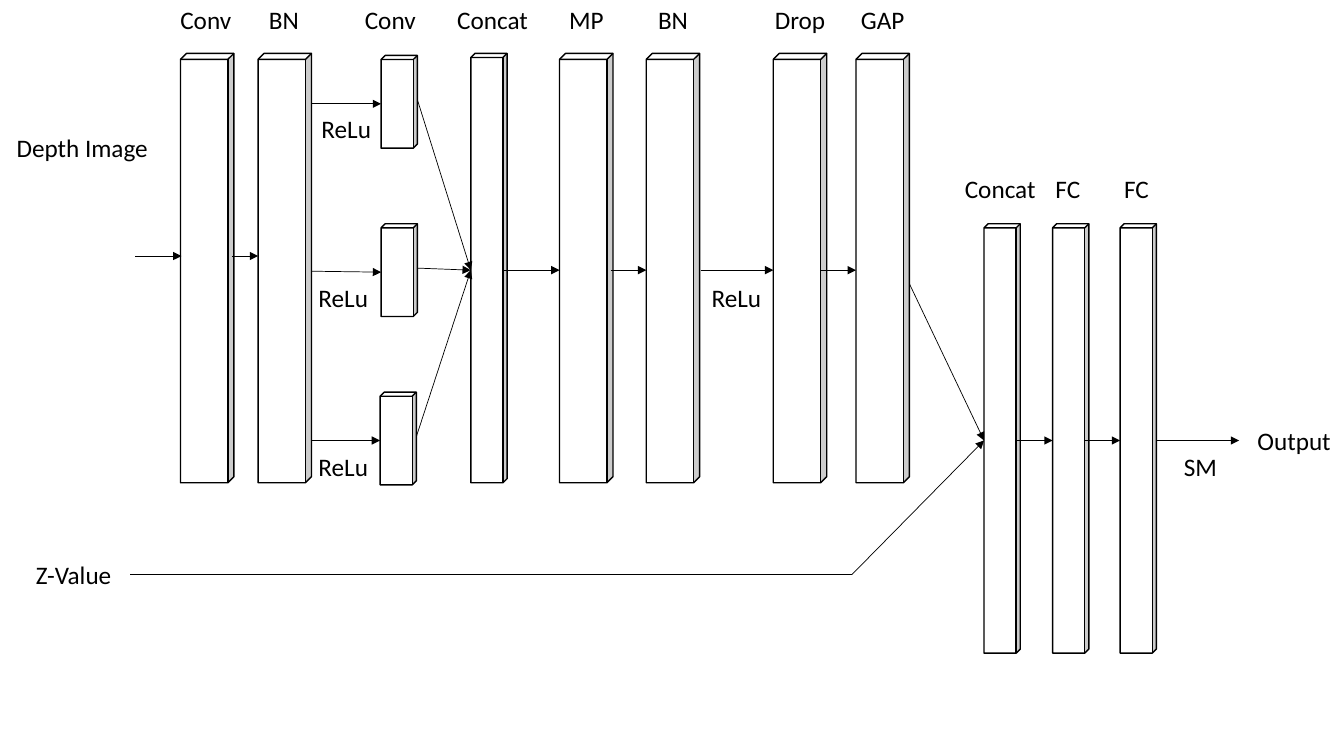
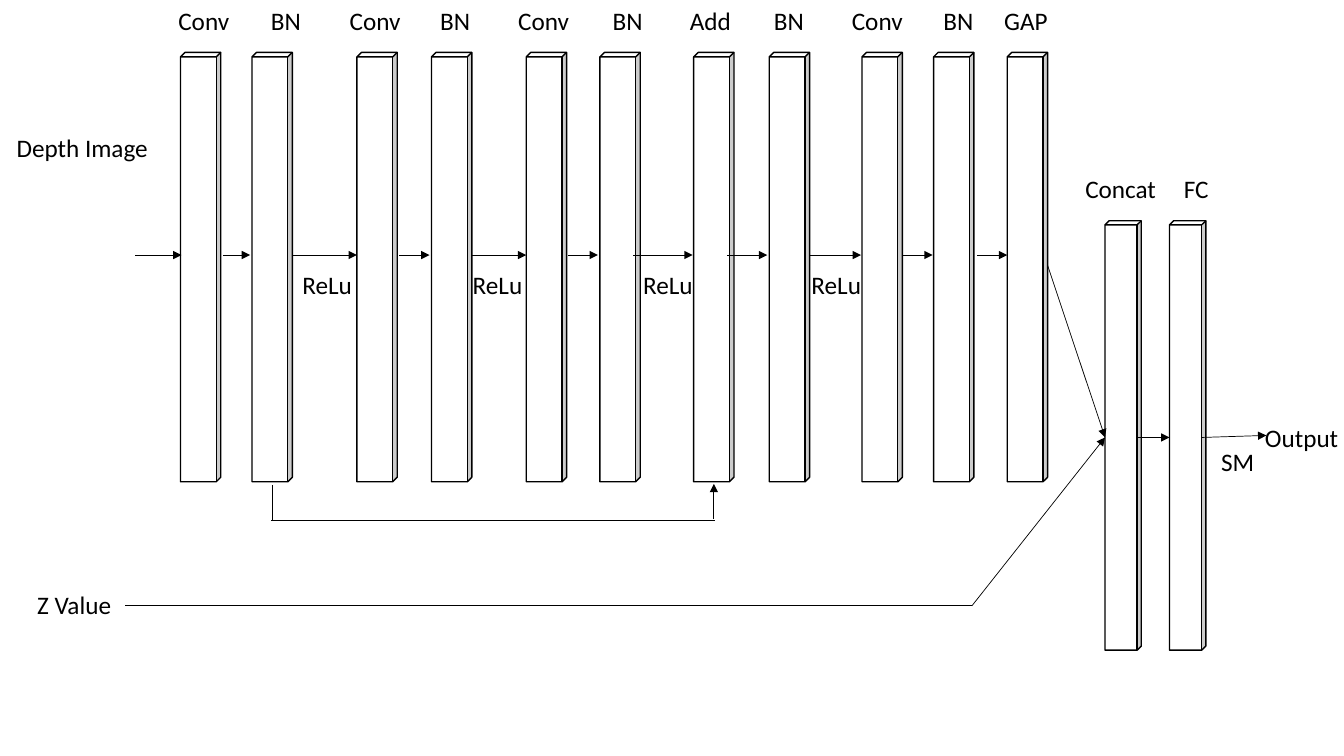
from pptx import Presentation
from pptx.dml.color import RGBColor as RGB
from pptx.enum.shapes import MSO_CONNECTOR as LINK, MSO_SHAPE as SHAPE
from pptx.enum.text import PP_ALIGN as ALIGN
from pptx.oxml.ns import qn
from pptx.util import Inches, Pt
from lxml.etree import SubElement

BLACK = RGB(0, 0, 0)
WHITE = RGB(255, 255, 255)
FONT = "Calibri"
DEPTH = 0.113
TALL = 4.26


def block(slide, left, top, width, height=TALL):
    """Draw one layer as a thin white cube."""
    cube = slide.shapes.add_shape(
        SHAPE.CUBE, Inches(left), Inches(top), Inches(width), Inches(height))
    cube.adjustments[0] = DEPTH
    cube.shadow.inherit = False
    cube.fill.solid()
    cube.fill.fore_color.rgb = WHITE
    cube.line.color.rgb = BLACK
    cube.line.width = Pt(1)


def blocks(slide, lefts, top, width):
    """Draw a row of tall layers."""
    for left in lefts:
        block(slide, left, top, width)


def label(slide, text, left, top, width=0.71, align=ALIGN.CENTER):
    """Write one line of text."""
    box = slide.shapes.add_textbox(
        Inches(left), Inches(top), Inches(width), Inches(0.4))
    frame = box.text_frame
    frame.word_wrap = True
    para = frame.paragraphs[0]
    para.alignment = align
    run = para.add_run()
    run.text = text
    run.font.name = FONT
    run.font.size = Pt(18)
    run.font.color.rgb = BLACK


def labels(slide, text, spots, align=ALIGN.CENTER):
    """Write the same word at several spots."""
    for left, top in spots:
        label(slide, text, left, top, align=align)


def line(slide, start, end, arrow=True):
    """Draw a thin line, with a head at its end if wanted."""
    link = slide.shapes.add_connector(
        LINK.STRAIGHT, *(Inches(value) for value in (*start, *end)))
    link.line.color.rgb = BLACK
    link.line.width = Pt(0.5)
    if arrow:
        SubElement(link.line._get_or_add_ln(), qn("a:tailEnd"), type="triangle")
    SubElement(link._element.spPr, qn("a:effectLst"))


def arrows(slide, top, spans):
    """Draw level arrows at one height."""
    for start, end in spans:
        line(slide, (start, top), (end, top))


def inputs(slide, top, depth):
    """Add what both networks take in from the left."""
    label(slide, "Depth Image", 0.02, 1.26, 1.59)
    arrows(slide, depth, [(1.34, 1.8)])


def branch(slide):
    """Build the network with three parallel branches."""
    blocks(slide, [4.67], 0.53, 0.36)
    blocks(slide, [9.76, 10.44, 11.11], 2.22, 0.36)
    for left, top in [(3.78, 0.55), (3.78, 2.22), (3.77, 3.89)]:
        block(slide, left, top, 0.36, 0.92)
        line(slide, (left + 0.36, top + 0.44), (4.67, 2.68))
    for start, end in [((3.06, 1.03), (3.78, 1.03)),
                       ((3.03, 2.69), (3.78, 2.7)),
                       ((3.03, 4.37), (3.77, 4.37)),
                       ((8.96, 2.69), (9.76, 4.37))]:
        line(slide, start, end)
    blocks(slide, [1.79, 2.56, 5.55, 6.41, 7.67, 8.49], 0.53, 0.53)
    inputs(slide, 1.26, 2.54)
    arrows(slide, 2.54, [(2.3, 2.56)])
    arrows(slide, 2.68, [(5, 5.55), (6.06, 6.41), (6.95, 7.67), (8.14, 8.49)])
    arrows(slide, 4.37, [(10.08, 10.44), (10.75, 11.11), (11.47, 12.29)])
    line(slide, (1.29, 5.7), (8.45, 5.7), arrow=False)
    line(slide, (8.45, 5.7), (9.76, 4.37))

    top = -0.01
    labels(slide, "Conv", [(1.69, top), (3.52, top)], ALIGN.LEFT)
    labels(slide, "BN", [(2.46, top), (6.32, top)])
    label(slide, "Concat", 4.33, top, 1.11)
    label(slide, "MP", 5.42, top, 0.79)
    label(slide, "Drop", 7.58, top)
    label(slide, "GAP", 8.4, top)
    label(slide, "Concat", 9.35, 1.67, 1.14)
    labels(slide, "FC", [(10.37, 1.67), (11.05, 1.67)], ALIGN.LEFT)
    labels(slide, "ReLu", [(3.09, 1.08), (3.06, 2.75), (3.06, 4.43),
                           (6.96, 2.75)], ALIGN.LEFT)
    label(slide, "SM", 11.55, 4.43)
    label(slide, "Z-Value", 0, 5.5, 1.46)
    label(slide, "Output", 12.29, 4.17, 1.09)


def skip(slide):
    """Build the network with a skip link."""
    arrows(slide, 2.53, [(2.84, 3.54)])
    blocks(slide, [1.79, 2.5, 3.54, 4.28, 5.22, 5.95, 6.88, 7.63, 8.55,
                   9.26, 9.99], 0.52, 0.4)
    blocks(slide, [10.96, 11.6], 2.19, 0.36)
    inputs(slide, 1.26, 2.53)
    arrows(slide, 2.53, [(2.21, 2.48), (3.96, 4.26), (4.68, 5.22),
                         (5.63, 5.93), (6.28, 6.87), (7.21, 7.61),
                         (8.03, 8.54), (8.95, 9.25), (9.69, 9.99)])
    arrows(slide, 4.34, [(11.27, 11.6)])
    line(slide, (10.39, 2.63), (10.96, 4.34))
    line(slide, (11.92, 4.34), (12.56, 4.32))
    line(slide, (1.24, 6.01), (9.64, 6.01), arrow=False)
    line(slide, (9.64, 6.01), (10.96, 4.34))
    line(slide, (2.7, 4.81), (2.7, 5.16), arrow=False)
    line(slide, (2.69, 5.16), (7.09, 5.16), arrow=False)
    line(slide, (7.08, 5.15), (7.08, 4.8))

    labels(slide, "Conv", [(left, 0) for left in (1.67, 3.37, 5.04, 8.35)],
           ALIGN.LEFT)
    labels(slide, "BN", [(left, 0) for left in (2.48, 4.16, 5.87, 7.47, 9.15)])
    label(slide, "Add", 6.69, 0)
    label(slide, "GAP", 9.82, 0)
    label(slide, "Concat", 10.6, 1.67, 1.03)
    label(slide, "FC", 11.51, 1.67)
    labels(slide, "ReLu", [(left, 2.62) for left in (2.9, 4.59, 6.28, 7.95)],
           ALIGN.LEFT)
    label(slide, "SM", 11.92, 4.38)
    label(slide, "Z Value", -0.06, 5.8, 1.59)
    label(slide, "Output", 12.41, 4.14, 1)


def main():
    """Build both slides and save them."""
    deck = Presentation()
    deck.slide_width = Inches(13.33)
    deck.slide_height = Inches(7.5)
    for build in (branch, skip):
        build(deck.slides.add_slide(deck.slide_layouts[6]))
    deck.save("out.pptx")


main()
